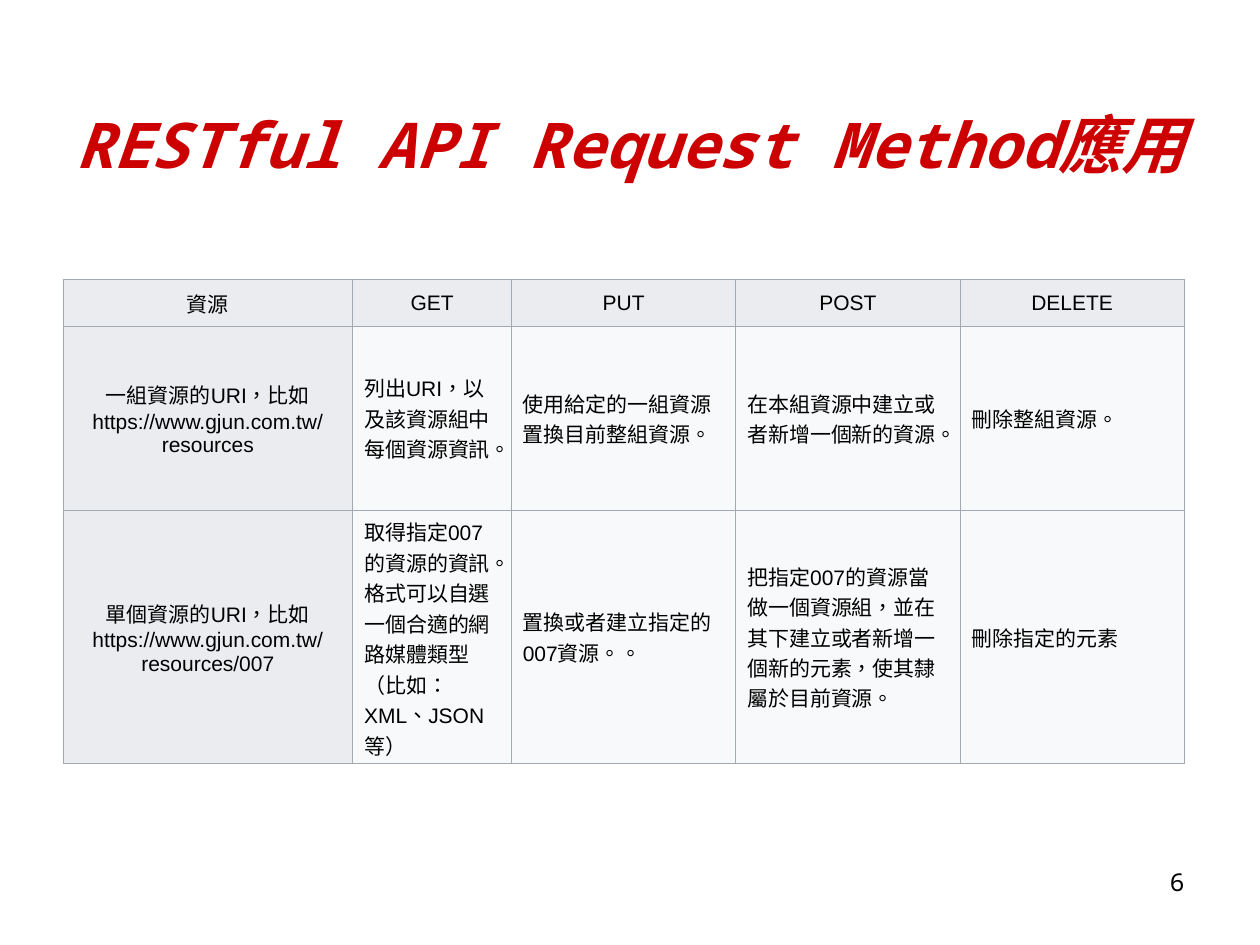
from dataclasses import dataclass

from lxml import etree
from pptx import Presentation
from pptx.dml.color import RGBColor
from pptx.enum import lang, text
from pptx.oxml import ns
from pptx.util import Inches, Pt

COLORS = {"title": "CC0000", "ink": "000000", "head": "EAECF0", "body": "F8F9FA", "border": "A2A9B1"}
COLUMN_WIDTHS = (2.3, 1.26, 1.78, 1.78, 1.78)
ROW_HEIGHTS = (0.37, 1.46, 2.01)
METHODS = (
    ("資源", "GET", "PUT", "POST", "DELETE"),
    (
        "一組資源的URI，比如https://www.gjun.com.tw/resources",
        "列出URI，以及該資源組中每個資源資訊。",
        "使用給定的一組資源置換目前整組資源。",
        "在本組資源中建立或者新增一個新的資源。",
        "刪除整組資源。",
    ),
    (
        "單個資源的URI，比如https://www.gjun.com.tw/resources/007",
        "取得指定007的資源的資訊。格式可以自選一個合適的網路媒體類型（比如：XML、JSON等）",
        "置換或者建立指定的007資源。。",
        "把指定007的資源當做一個資源組，並在其下建立或者新增一個新的元素，使其隸屬於目前資源。",
        "刪除指定的元素",
    ),
)


@dataclass(frozen=True)
class Style:
    """Character and paragraph look of a piece of text."""

    size: float
    font: str
    color: str = "ink"
    emphasis: bool = False
    align: text.PP_ALIGN = text.PP_ALIGN.LEFT


@dataclass(frozen=True)
class Label:
    """Text placed on the slide, in inches."""

    words: str
    left: float
    top: float
    width: float
    height: float
    style: Style


LABELS = (
    Label("RESTful API Request Method應用", 0.5, 0.79, 9, 1.03,
          Style(36, "Noto Sans Mono", "title", True)),
    Label("6", 7.17, 6.83, 2.33, 0.52,
          Style(14, "Noto Sans Mono", align=text.PP_ALIGN.RIGHT)),
)


def write(frame, words: str, style: Style) -> None:
    """Put one styled run into the first paragraph of a frame."""
    frame.word_wrap = True
    paragraph = frame.paragraphs[0]
    paragraph.alignment = style.align
    run = paragraph.add_run()
    run.text = words
    run.font.size = Pt(style.size)
    run.font.name = style.font
    run.font.bold = run.font.italic = style.emphasis
    run.font.color.rgb = RGBColor.from_string(COLORS[style.color])
    run.font.language_id = lang.MSO_LANGUAGE_ID.TRADITIONAL_CHINESE


def draw_label(slide, label: Label) -> None:
    """Add a label as a text box."""
    box = slide.shapes.add_textbox(Inches(label.left), Inches(label.top),
                                   Inches(label.width), Inches(label.height))
    write(box.text_frame, label.words, label.style)


def paint_cell(cell, fill: str) -> None:
    """Give a cell thin borders on all sides and a solid fill."""
    properties = cell._tc.get_or_add_tcPr()
    for side in ("lnL", "lnR", "lnT", "lnB"):
        line = etree.SubElement(properties, ns.qn(f"a:{side}"), w=str(Pt(0.5)))
        solid = etree.SubElement(line, ns.qn("a:solidFill"))
        etree.SubElement(solid, ns.qn("a:srgbClr"), val=COLORS["border"])
    cell.fill.solid()
    cell.fill.fore_color.rgb = RGBColor.from_string(COLORS[fill])


def draw_methods(slide) -> None:
    """Add the table of request methods."""
    table = slide.shapes.add_table(
        len(ROW_HEIGHTS), len(COLUMN_WIDTHS), Inches(0.5), Inches(2.22),
        Inches(sum(COLUMN_WIDTHS)), Inches(sum(ROW_HEIGHTS))).table
    for column, width in zip(table.columns, COLUMN_WIDTHS):
        column.width = Inches(width)
    for row, height in zip(table.rows, ROW_HEIGHTS):
        row.height = Inches(height)
    for r, entries in enumerate(METHODS):
        for c, words in enumerate(entries):
            cell = table.cell(r, c)
            heading = r == 0 or c == 0
            cell.vertical_anchor = text.MSO_ANCHOR.MIDDLE
            cell.margin_left = cell.margin_right = Inches(0.09)
            cell.margin_top = cell.margin_bottom = Inches(0.05)
            paint_cell(cell, "head" if heading else "body")
            align = text.PP_ALIGN.CENTER if heading else text.PP_ALIGN.LEFT
            write(cell.text_frame, words, Style(12, "Arial", align=align))


def main() -> None:
    """Build and save the slide."""
    deck = Presentation()
    deck.slide_width, deck.slide_height = Inches(10), Inches(7.5)
    slide = deck.slides.add_slide(deck.slide_layouts[6])
    for label in LABELS:
        draw_label(slide, label)
    draw_methods(slide)
    deck.save("out.pptx")


if __name__ == "__main__":
    main()
